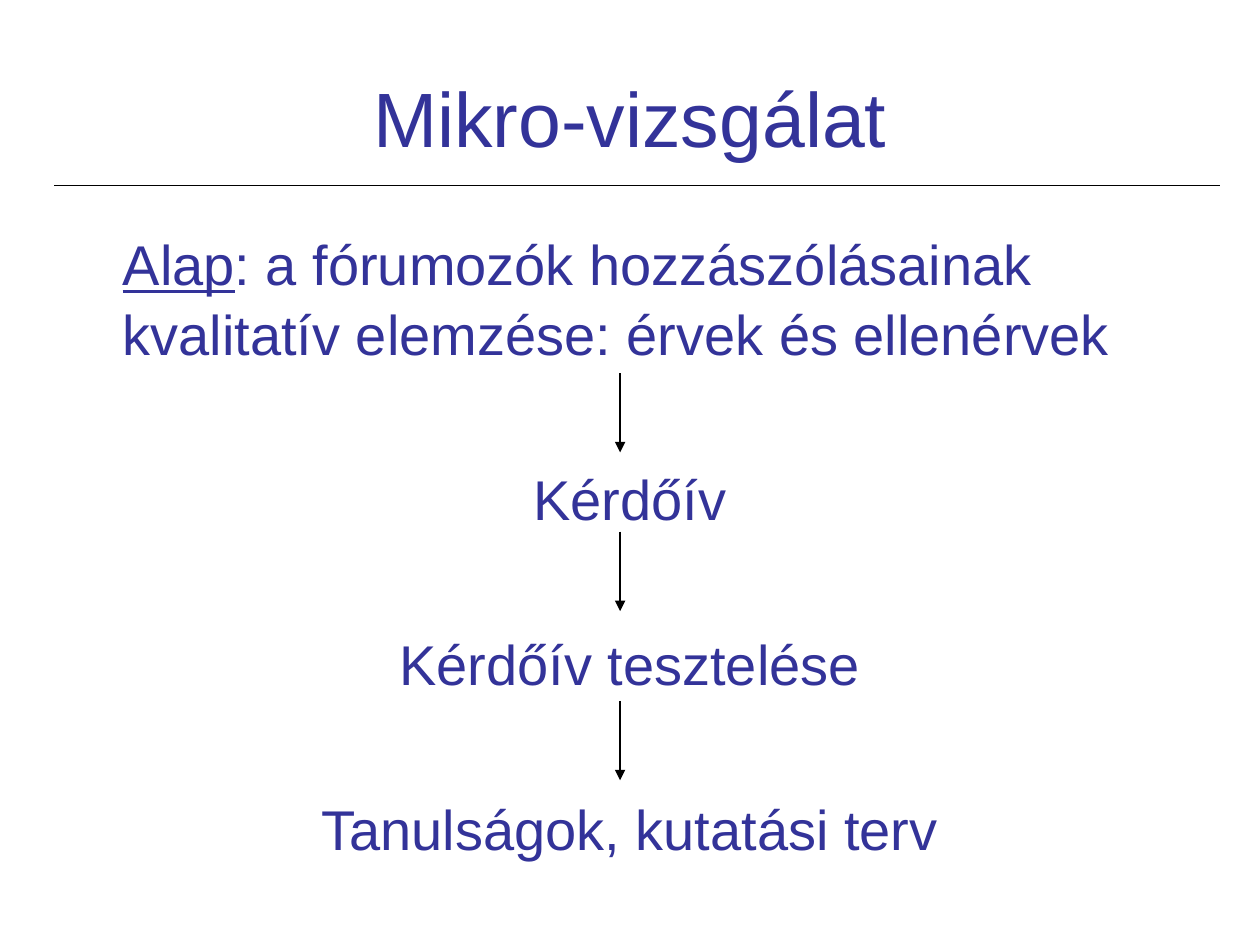
from lxml.etree import SubElement
from pptx import Presentation
from pptx.dml.color import RGBColor
from pptx.enum.shapes import MSO_CONNECTOR
from pptx.enum.text import MSO_ANCHOR, MSO_AUTO_SIZE, PP_ALIGN
from pptx.oxml.ns import qn
from pptx.util import Cm, Pt

COLORS = {"text": "333399", "line": "000000", "background": "FFFFFF"}
STEPS = ["Kérdőív", "Kérdőív tesztelése", "Tanulságok, kutatási terv"]
ARROW_TOPS = [3.07, 6.27, 9.68]
ARROW_LENGTH = 1.6


def place(sp, box):
    """Move a shape to a (left, top, width, height) box in centimetres."""
    sp.left, sp.top, sp.width, sp.height = (Cm(v) for v in box)


def add_run(p, text, size, underline=False):
    """Append one formatted run to a paragraph."""
    r = p.add_run()
    r.text = text
    r.font.name = "Arial"
    r.font.size = Pt(size)
    r.font.underline = underline
    r.font.color.rgb = RGBColor.from_string(COLORS["text"])


def add_line(slide, x1, y1, x2, y2, arrow=False):
    """Draw a thin straight line, with an arrowhead at its end if wanted."""
    line = slide.shapes.add_connector(
        MSO_CONNECTOR.STRAIGHT, Cm(x1), Cm(y1), Cm(x2), Cm(y2))
    line.line.color.rgb = RGBColor.from_string(COLORS["line"])
    line.line.width = Pt(0.75)
    if arrow:
        SubElement(line.line._get_or_add_ln(), qn("a:tailEnd"), type="triangle")
    SubElement(line._element.spPr, qn("a:effectLst"))


def add_header(slide, box):
    """Fill the title and draw the rule near the bottom of its box."""
    left, top, width, height = box
    title = slide.shapes.title
    place(title, box)
    tf = title.text_frame
    tf.auto_size = MSO_AUTO_SIZE.NONE
    tf.vertical_anchor = MSO_ANCHOR.MIDDLE
    p = tf.paragraphs[0]
    p.alignment = PP_ALIGN.CENTER
    add_run(p, "Mikro-vizsgálat", 44)
    y = top + height - 0.2
    add_line(slide, left - 0.18, y, left + width + 0.46, y)


def format_paragraph(p, margin, space_before):
    """Set indent and spacing of a paragraph and switch off its bullet."""
    p.line_spacing = 1.04
    p.space_before = Pt(space_before)
    pPr = p._p.get_or_add_pPr()
    pPr.set("marL", str(Cm(margin)))
    pPr.set("indent", "0")
    SubElement(pPr, qn("a:buNone"))


def add_process(slide, box):
    """Fill the body with the premise and steps, and link them by arrows."""
    left, top, width, _ = box
    body = slide.placeholders[1]
    place(body, box)
    tf = body.text_frame
    tf.auto_size = MSO_AUTO_SIZE.NONE
    p = tf.paragraphs[0]
    format_paragraph(p, 0.95, 8)
    add_run(p, "Alap", 32, underline=True)
    add_run(p, ": a fórumozók hozzászólásainak kvalitatív elemzése: "
               "érvek és ellenérvek", 32)
    for step in STEPS:
        p = tf.add_paragraph()
        p.alignment = PP_ALIGN.CENTER
        format_paragraph(p, 0, 54.3)
        add_run(p, step, 32)
    x = left + width / 2 - 0.2
    for offset in ARROW_TOPS:
        y = top + offset
        add_line(slide, x, y, x, y + ARROW_LENGTH, arrow=True)


def main():
    """Build the slide and save it."""
    prs = Presentation()
    prs.slide_width, prs.slide_height = Cm(25.4), Cm(19.05)
    slide = prs.slides.add_slide(prs.slide_layouts[1])
    fill = slide.background.fill
    fill.solid()
    fill.fore_color.rgb = RGBColor.from_string(COLORS["background"])
    add_header(slide, (1.27, 0.76, 22.86, 3.18))
    add_process(slide, (1.27, 4.45, 22.86, 14.6))
    prs.save("out.pptx")


if __name__ == "__main__":
    main()
